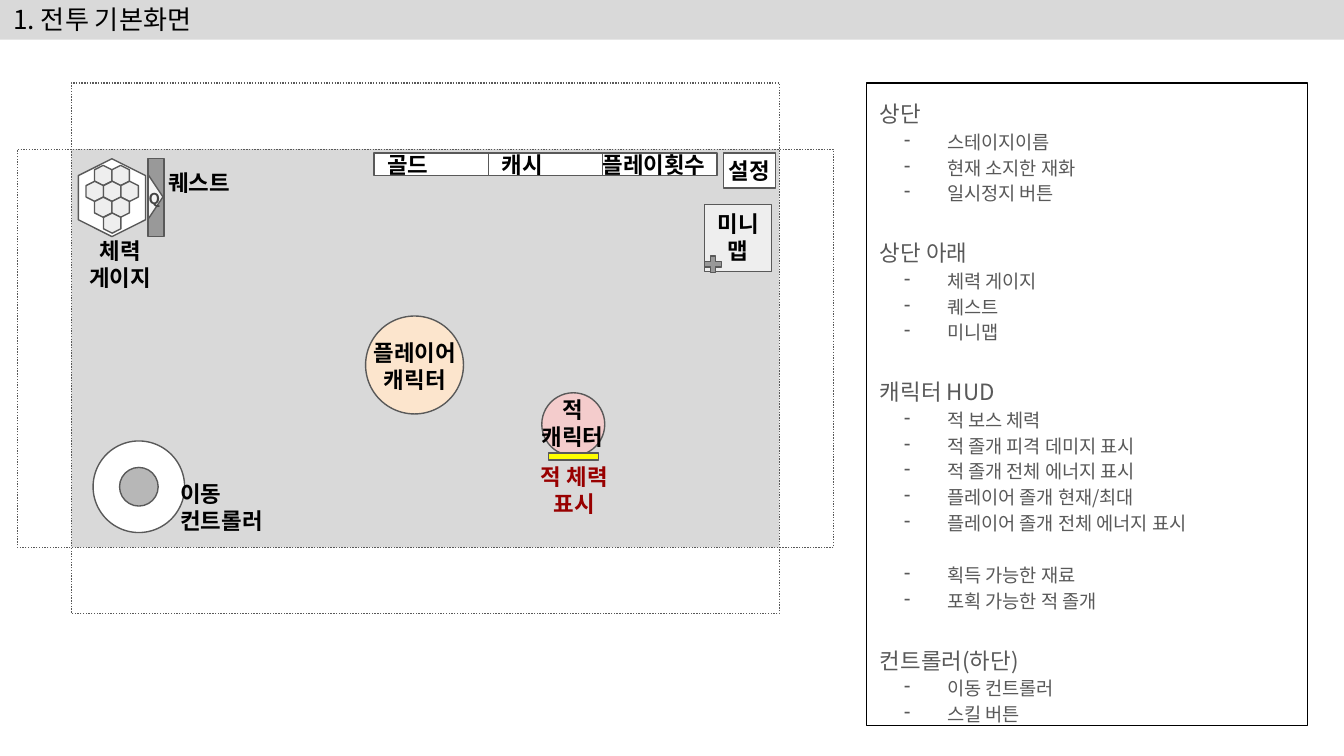
from lxml.etree import SubElement as Sub
from pptx import Presentation
from pptx.dml.color import RGBColor as Rgb
from pptx.enum.dml import MSO_LINE as Dash
from pptx.enum.shapes import MSO_SHAPE as Kind
from pptx.enum.text import MSO_ANCHOR as Anchor, MSO_AUTO_SIZE as Fit, PP_ALIGN as Align
from pptx.oxml.ns import qn
from pptx.util import Cm, Pt

FONT = "Noto Sans CJK KR"
BLACK = Rgb(0x00, 0x00, 0x00)
WHITE = Rgb(0xFF, 0xFF, 0xFF)
GRAY = Rgb(0x59, 0x59, 0x59)
DARK = Rgb(0x43, 0x43, 0x43)
STEEL = Rgb(0x99, 0x99, 0x99)
KNOB = Rgb(0xB7, 0xB7, 0xB7)
FLOOR = Rgb(0xD9, 0xD9, 0xD9)
PALE = Rgb(0xEE, 0xEE, 0xEE)
LIGHT = Rgb(0xF3, 0xF3, 0xF3)
PEACH = Rgb(0xFC, 0xE5, 0xCD)
PINK = Rgb(0xF4, 0xCC, 0xCC)
YELLOW = Rgb(0xFF, 0xFF, 0x00)
RED = Rgb(0x98, 0x00, 0x00)

PAD = 0.25
NOTES = [
    ("상단", [["스테이지이름", "현재 소지한 재화", "일시정지 버튼"]]),
    ("상단 아래", [["체력 게이지", "퀘스트", "미니맵"]]),
    ("캐릭터 HUD", [
        ["적 보스 체력", "적 졸개 피격 데미지 표시", "적 졸개 전체 에너지 표시",
         "플레이어 졸개 현재/최대", "플레이어 졸개 전체 에너지 표시"],
        ["획득 가능한 재료", "포획 가능한 적 졸개"]]),
    ("컨트롤러(하단)", [["이동 컨트롤러", "스킬 버튼"]]),
]


def sub(box, x, y, w, h):
    return box[0] + x, box[1] + y, w, h


def put(slide, kind, box, fill=None, line=GRAY, dash=None, turn=0):
    shape = slide.shapes.add_shape(kind, *map(Cm, box))
    shape.shadow.inherit = False
    shape.rotation = turn
    if fill is None:
        shape.fill.background()
    else:
        shape.fill.solid()
        shape.fill.fore_color.rgb = fill
    if line is None:
        shape.line.fill.background()
    else:
        shape.line.color.rgb = line
        shape.line.width = Pt(0.75)
        if dash:
            shape.line.dash_style = dash
    return shape


def setup(frame, side=0, edge=0, anchor=Anchor.MIDDLE):
    frame.word_wrap = True
    frame.auto_size = Fit.NONE
    frame.vertical_anchor = anchor
    frame.margin_left = frame.margin_right = Cm(side)
    frame.margin_top = frame.margin_bottom = Cm(edge)


def add_run(para, text, size, color, bold=False):
    run = para.add_run()
    run.text = text
    font = run.font
    font.name, font.size, font.bold = FONT, Pt(size), bold
    font.color.rgb = color
    Sub(run._r.get_or_add_rPr(), qn("a:ea"), typeface=FONT)


def next_para(frame):
    first = frame.paragraphs[0]
    return frame.add_paragraph() if first.runs else first


def write(shape, lines, size=12, color=BLACK, align=Align.CENTER, **room):
    frame = shape.text_frame
    setup(frame, **room)
    for line in lines:
        para = next_para(frame)
        para.alignment = align
        add_run(para, line, size, color, True)


def label(slide, box, lines, **style):
    write(slide.shapes.add_textbox(*map(Cm, box)), lines, **style)


def add_title(slide, box, text):
    shape = slide.shapes.title
    shape.left, shape.top, shape.width, shape.height = map(Cm, box)
    shape.fill.solid()
    shape.fill.fore_color.rgb = FLOOR
    setup(shape.text_frame, side=PAD)
    para = shape.text_frame.paragraphs[0]
    para.alignment = Align.LEFT
    add_run(para, text, 14, BLACK)


def add_stage(slide, box):
    w, h = box[2:]
    put(slide, Kind.RECTANGLE, box, FLOOR, None)
    for dx, dy in ((1.02, 0), (0, 1.25)):
        frame = sub(box, -dx, -dy, w + 2 * dx, h + 2 * dy)
        put(slide, Kind.RECTANGLE, frame, dash=Dash.ROUND_DOT)


def add_map(slide, box):
    put(slide, Kind.RECTANGLE, box, PALE)
    put(slide, Kind.MATH_PLUS, sub(box, -0.05, 0.92, 0.43, 0.43), STEEL)
    label(slide, sub(box, 0.08, 0.18, 1.12, 0.89), ["미니맵"])


def add_bar(slide, box):
    w, h = 2.16, 0.43
    for i, (name, side) in enumerate((("골드", PAD), ("캐시", PAD), ("플레이횟수", 0))):
        cell = put(slide, Kind.RECTANGLE, sub(box, i * w, 0, w, h), WHITE)
        write(cell, [name], align=Align.LEFT, side=side, edge=PAD)
    gear = put(slide, Kind.RECTANGLE, sub(box, 6.6, 0, 0.99, 0.66), WHITE)
    write(gear, ["설정"])


def add_quest(slide, box):
    put(slide, Kind.RECTANGLE, box, STEEL)
    put(slide, Kind.ISOSCELES_TRIANGLE, sub(box, -0.28, 0.58, 0.84, 0.28), LIGHT, turn=90)
    label(slide, sub(box, -0.03, 0.53, 0.3, 0.46), ["Q"], size=8, color=DARK)
    label(slide, sub(box, 0.33, 0, 1.27, 0.89), ["퀘스트"])


def add_health(slide, box):
    put(slide, Kind.HEXAGON, sub(box, 0.03, 0.1, 1.47, 1.27), WHITE, turn=90)
    for row, (count, left) in enumerate(((2, 0.41), (3, 0.25), (2, 0.41), (1, 0.58))):
        for col in range(count):
            cell = sub(box, left + col * 0.33, 0.15 + row * 0.3, 0.38, 0.33)
            put(slide, Kind.HEXAGON, cell, PALE, turn=90)
    label(slide, sub(box, 0, 1.55, 1.85, 0.89), ["체력", "게이지"])


def add_pad(slide, box):
    put(slide, Kind.OVAL, box, WHITE)
    put(slide, Kind.OVAL, sub(box, 0.5, 0.5, 0.73, 0.73), KNOB)
    label(slide, sub(box, 1.65, 0.74, 1.85, 0.99), ["이동", "컨트롤러"],
          align=Align.LEFT, anchor=Anchor.TOP)


def add_player(slide, box):
    put(slide, Kind.OVAL, box, PEACH)
    label(slide, sub(box, -0.15, 0.18, 2.16, 1.47), ["플레이어 캐릭터"],
          side=PAD, edge=PAD, anchor=Anchor.TOP)


def add_enemy(slide, box):
    put(slide, Kind.OVAL, box, PINK)
    put(slide, Kind.RECTANGLE, sub(box, 0.13, 1.14, 0.94, 0.13), YELLOW)
    label(slide, sub(box, -0.25, 1.47, 1.73, 0.74), ["적 체력 표시"], color=RED)
    label(slide, sub(box, -0.28, -0.18, 1.73, 1.19), ["적", "캐릭터"],
          side=PAD, edge=PAD, anchor=Anchor.TOP)


def add_line(frame, text, size, gap):
    para = next_para(frame)
    para.alignment = Align.LEFT
    para.line_spacing = 1.15
    para.space_before = Pt(gap)
    add_run(para, text, size, GRAY)
    return para


def add_item(frame, text, gap):
    props = add_line(frame, text, 10, gap)._p.get_or_add_pPr()
    props.set("marL", str(Cm(1.27)))
    props.set("indent", str(Cm(-0.81)))
    Sub(Sub(props, qn("a:buClr")), qn("a:srgbClr"), val=str(GRAY))
    Sub(props, qn("a:buChar"), char="-")


def add_notes(slide, box):
    frame = put(slide, Kind.RECTANGLE, box, line=BLACK).text_frame
    setup(frame, side=PAD, edge=PAD, anchor=Anchor.TOP)
    for i, (head, groups) in enumerate(NOTES):
        add_line(frame, head, 12, 16.5 if i else 0)
        for j, group in enumerate(groups):
            for k, text in enumerate(group):
                add_item(frame, text, 14 if j and not k else 0)


def main():
    deck = Presentation()
    deck.slide_width, deck.slide_height = Cm(25.4), Cm(14.28)
    slide = deck.slides.add_slide(deck.slide_layouts[5])
    stage = (1.35, 2.82, 13.38, 7.52)
    add_title(slide, (0, -0.03, 25.4, 0.78), "1. 전투 기본화면")
    add_stage(slide, stage)
    add_map(slide, sub(stage, 11.96, 1.04, 1.27, 1.27))
    add_bar(slide, sub(stage, 5.72, 0.07, 7.59, 0.66))
    add_quest(slide, sub(stage, 1.45, 0.18, 0.3, 1.47))
    add_health(slide, sub(stage, 0, 0.18, 1.85, 2.44))
    add_pad(slide, sub(stage, 0.41, 5.51, 1.73, 1.73))
    add_player(slide, sub(stage, 5.56, 3.15, 1.85, 1.85))
    add_enemy(slide, sub(stage, 8.89, 4.6, 1.19, 1.19))
    add_notes(slide, (16.38, 1.57, 8.33, 12.14))
    deck.save("out.pptx")


if __name__ == "__main__":
    main()
